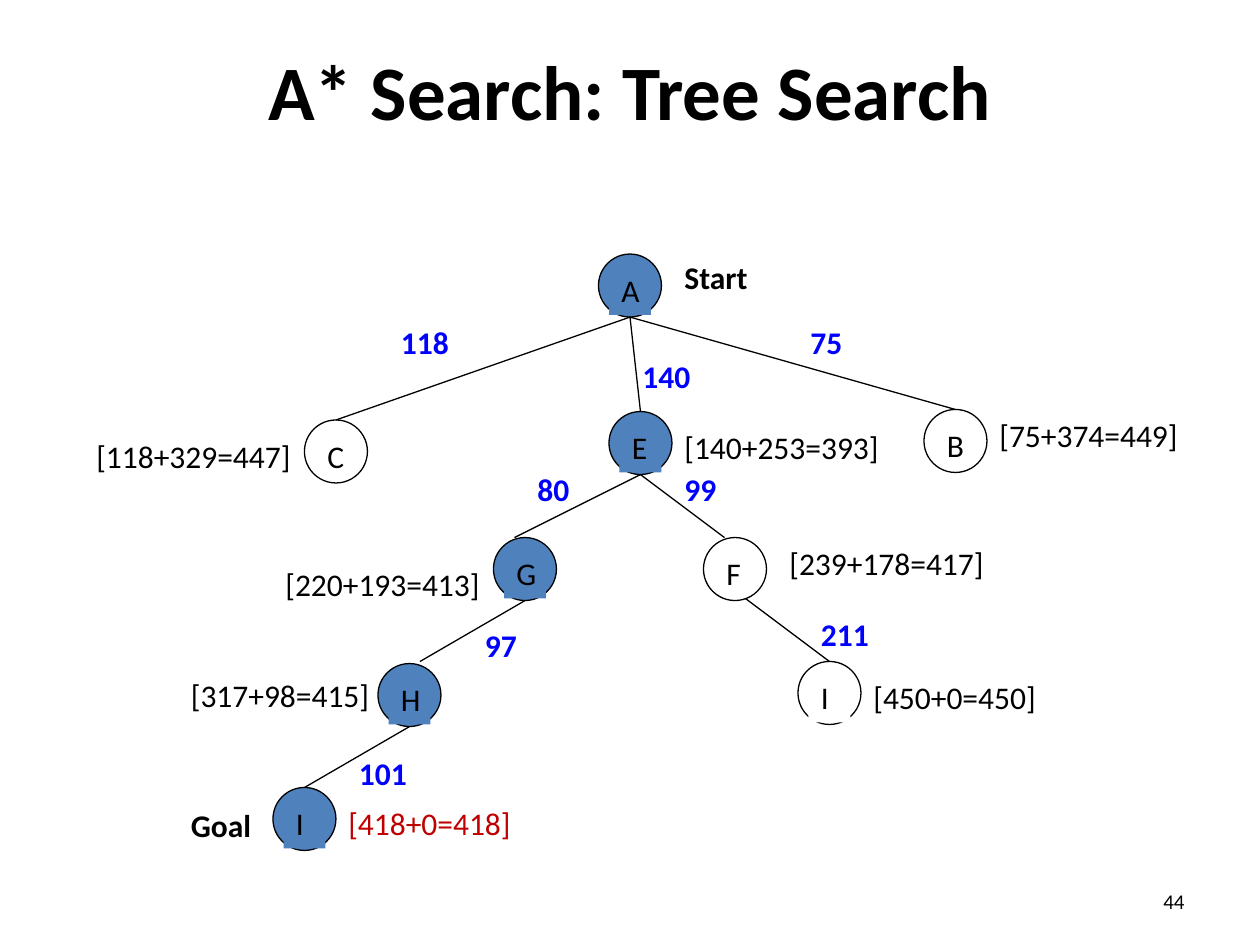
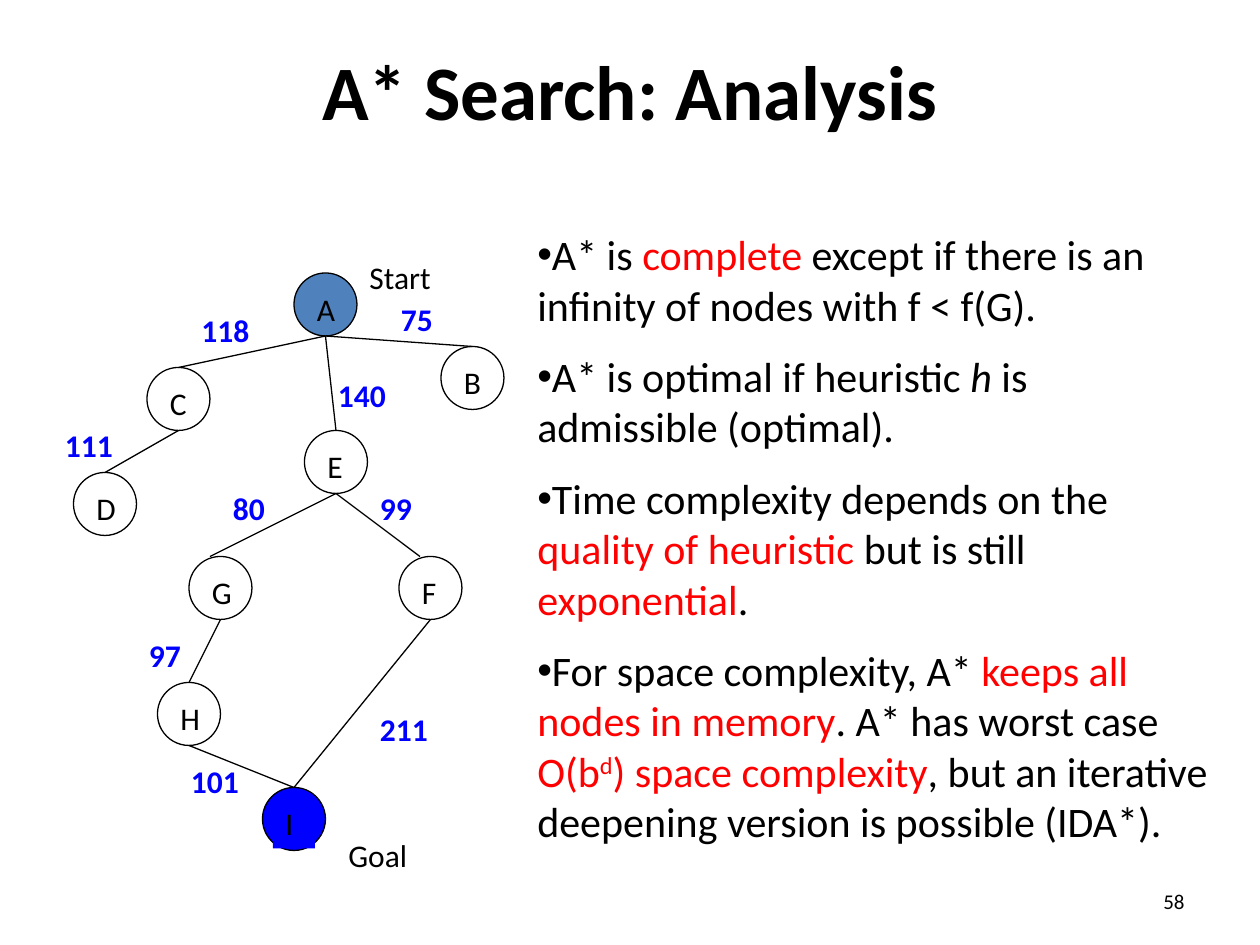
"""Builds two slides on A* search: the expanded search tree and the analysis."""
from dataclasses import dataclass
from typing import Optional

from lxml.etree import SubElement
from pptx import Presentation
from pptx.dml.color import RGBColor
from pptx.enum.shapes import MSO_CONNECTOR, MSO_SHAPE
from pptx.enum.text import MSO_ANCHOR, PP_ALIGN
from pptx.oxml.ns import qn
from pptx.util import Emu, Pt

PX = 7620
FONT = "Calibri"
BLACK = RGBColor(0x00, 0x00, 0x00)
WHITE = RGBColor(0xFF, 0xFF, 0xFF)
STEEL = RGBColor(0x4F, 0x81, 0xBD)
BLUE = RGBColor(0x00, 0x00, 0xFF)
RED = RGBColor(0xFF, 0x00, 0x00)
DARK_RED = RGBColor(0xC0, 0x00, 0x00)
NODE_SIZE = 60
LETTER_INSET = 10
LETTER_WIDTH = 40
LINE_HEIGHT = 48


@dataclass(frozen=True)
class Node:
    """A tree node; the letter shown is the first character of its key."""
    key: str
    x: int
    y: int
    fill: Optional[RGBColor] = None
    letter_filled: bool = True


@dataclass(frozen=True)
class Edge:
    """A branch with its cost, the cost's place and nudges of both ends."""
    parent: str
    child: str
    cost: str
    x: int
    y: int
    start_nudge: tuple[int, int] = (0, 0)
    end_nudge: tuple[int, int] = (0, 0)


@dataclass(frozen=True)
class Label:
    """A free caption beside a node."""
    text: str
    x: int
    y: int
    width: int = 160
    color: RGBColor = BLACK
    bold: bool = False


@dataclass(frozen=True)
class Phrase:
    """A stretch of body text in one style."""
    text: str
    color: RGBColor = BLACK
    italic: bool = False
    superscript: bool = False


TREE_NODES = [
    Node("A", 570, 242, STEEL),
    Node("B", 880, 390),
    Node("C", 290, 400),
    Node("E", 580, 392, STEEL),
    Node("F", 670, 512),
    Node("G", 470, 512, STEEL),
    Node("H", 360, 632, STEEL),
    Node("I goal", 260, 750, STEEL),
    Node("I via F", 760, 630, WHITE),
]
TREE_EDGES = [
    Edge("A", "B", "75", 760, 302),
    Edge("A", "E", "140", 600, 334),
    Edge("A", "C", "118", 370, 302),
    Edge("E", "F", "99", 640, 442, end_nudge=(-10, 0)),
    Edge("E", "G", "80", 500, 442, end_nudge=(-10, 0)),
    Edge("G", "H", "97", 450, 590, end_nudge=(10, -2)),
    Edge("H", "I goal", "101", 330, 712),
    Edge("F", "I via F", "211", 770, 580, start_nudge=(10, -2)),
]
TREE_LABELS = [
    Label("Start", 640, 240, bold=True),
    Label("Goal", 170, 762, bold=True),
    Label("[418+0=418]", 320, 760, 230, DARK_RED),
    Label("[140+253=393]", 640, 402, 220),
    Label("[75+374=449]", 940, 390, 230),
    Label("[118+329=447]", 80, 410, 230),
    Label("[317+98=415]", 170, 638, 200),
    Label("[239+178=417]", 740, 512, 220),
    Label("[220+193=413]", 260, 532, 260),
    Label("[450+0=450]", 820, 640, 184),
]

GRAPH_NODES = [
    Node("A", 280, 260, STEEL, letter_filled=False),
    Node("B", 420, 330),
    Node("C", 140, 350),
    Node("D", 70, 450),
    Node("E", 290, 410),
    Node("F", 380, 530),
    Node("G", 180, 530),
    Node("H", 150, 650),
    Node("I", 250, 750, BLUE),
]
GRAPH_EDGES = [
    Edge("A", "B", "75", 370, 280),
    Edge("A", "E", "140", 310, 352),
    Edge("A", "C", "118", 180, 290),
    Edge("C", "D", "111", 50, 400),
    Edge("E", "F", "99", 350, 460, end_nudge=(-10, 0)),
    Edge("E", "G", "80", 210, 460, end_nudge=(-10, 0)),
    Edge("G", "H", "97", 130, 600),
    Edge("H", "I", "101", 170, 720),
    Edge("F", "I", "211", 350, 670),
]
GRAPH_LABELS = [Label("Start", 340, 240), Label("Goal", 320, 790)]

ANALYSIS = [
    [Phrase("A* is "), Phrase("complete", RED),
     Phrase(" except if there is an infinity of nodes with f < f(G).")],
    [Phrase("A* is optimal if heuristic "), Phrase("h", italic=True),
     Phrase(" is admissible (optimal).")],
    [Phrase("Time complexity depends on the "), Phrase("quality of heuristic ", RED),
     Phrase("but is still "), Phrase("exponential", RED), Phrase(".")],
    [Phrase("For space complexity, A* "), Phrase("keeps all nodes in memory", RED),
     Phrase(". A* has worst case "), Phrase("O(b", RED),
     Phrase("d", RED, superscript=True), Phrase(") space complexity", RED),
     Phrase(", but an iterative deepening version is possible (IDA*).")],
]


def px(*lengths: int) -> list[Emu]:
    """Turn pixel lengths into EMU."""
    return [Emu(length * PX) for length in lengths]


def style(run, size: int, color: RGBColor, bold: bool = False) -> None:
    """Give a run the deck's font with a size, colour and weight."""
    run.font.name = FONT
    run.font.size = Pt(size)
    run.font.color.rgb = color
    run.font.bold = bold


def add_text(slide, text: str, x: int, y: int, width: int, height: int = LINE_HEIGHT,
             size: int = 18, color: RGBColor = BLACK, bold: bool = False,
             align=PP_ALIGN.LEFT, anchor=MSO_ANCHOR.TOP):
    """Add a one-paragraph text box and return it."""
    box = slide.shapes.add_textbox(*px(x, y, width, height))
    frame = box.text_frame
    frame.word_wrap = True
    frame.vertical_anchor = anchor
    frame.text = text
    frame.paragraphs[0].alignment = align
    for run in frame.paragraphs[0].runs:
        style(run, size, color, bold)
    return box


def add_node(slide, node: Node) -> None:
    """Draw a node's circle and its letter."""
    circle = slide.shapes.add_shape(MSO_SHAPE.OVAL,
                                    *px(node.x, node.y, NODE_SIZE, NODE_SIZE))
    circle.shadow.inherit = False
    circle.line.color.rgb = BLACK
    circle.line.width = Pt(0.75)
    letter = add_text(slide, node.key[0], node.x + LETTER_INSET,
                      node.y + LETTER_INSET, LETTER_WIDTH)
    if node.fill is None:
        circle.fill.background()
        return
    circle.fill.solid()
    circle.fill.fore_color.rgb = node.fill
    if node.letter_filled:
        letter.fill.solid()
        letter.fill.fore_color.rgb = node.fill


def add_edge(slide, edge: Edge, nodes: dict[str, Node]) -> None:
    """Join the parent's bottom to the child's top and write the cost."""
    parent, child = nodes[edge.parent], nodes[edge.child]
    start_dx, start_dy = edge.start_nudge
    end_dx, end_dy = edge.end_nudge
    branch = slide.shapes.add_connector(MSO_CONNECTOR.STRAIGHT, *px(
        parent.x + NODE_SIZE // 2 + start_dx, parent.y + NODE_SIZE + start_dy,
        child.x + NODE_SIZE // 2 + end_dx, child.y + end_dy))
    branch.line.color.rgb = BLACK
    branch.line.width = Pt(0.75)
    SubElement(branch._element.spPr, qn("a:effectLst"))
    width = 80 if len(edge.cost) < 3 else 100
    add_text(slide, edge.cost, edge.x, edge.y, width, color=BLUE, bold=True)


def add_tree(slide, nodes: list[Node], edges: list[Edge], labels: list[Label]) -> None:
    """Draw a whole search tree."""
    by_key = {node.key: node for node in nodes}
    for node in nodes:
        add_node(slide, node)
    for edge in edges:
        add_edge(slide, edge, by_key)
    for label in labels:
        add_text(slide, label.text, label.x, label.y, label.width,
                 color=label.color, bold=label.bold)


def add_analysis(slide, points: list[list[Phrase]]) -> None:
    """Write the bulleted analysis beside the tree."""
    frame = slide.shapes.add_textbox(*px(500, 212, 670, 618)).text_frame
    frame.word_wrap = True
    for index, phrases in enumerate(points):
        paragraph = frame.add_paragraph() if index else frame.paragraphs[0]
        if index:
            paragraph.space_before = Pt(12)
        properties = paragraph._p.get_or_add_pPr()
        SubElement(properties, qn("a:buFont")).set("typeface", "Arial")
        SubElement(properties, qn("a:buChar")).set("char", "•")
        for phrase in phrases:
            run = paragraph.add_run()
            run.text = phrase.text
            style(run, 24, phrase.color)
            run.font.italic = phrase.italic
            if phrase.superscript:
                run._r.get_or_add_rPr().set("baseline", "30000")


def add_slide(deck, title: str, number: int):
    """Add a blank slide with the shared title and page number."""
    slide = deck.slides.add_slide(deck.slide_layouts[6])
    add_text(slide, title, 10, 10, 1180, 150, size=44, bold=True,
             align=PP_ALIGN.CENTER, anchor=MSO_ANCHOR.MIDDLE)
    add_text(slide, str(number), 860, 834, 280, size=12,
             align=PP_ALIGN.RIGHT, anchor=MSO_ANCHOR.MIDDLE)
    return slide


def main() -> None:
    """Build and save the deck."""
    deck = Presentation()
    deck.slide_width, deck.slide_height = px(1200, 900)
    tree_search = add_slide(deck, "A* Search: Tree Search", 44)
    add_tree(tree_search, TREE_NODES, TREE_EDGES, TREE_LABELS)
    analysis = add_slide(deck, "A* Search: Analysis", 58)
    add_tree(analysis, GRAPH_NODES, GRAPH_EDGES, GRAPH_LABELS)
    add_analysis(analysis, ANALYSIS)
    deck.save("out.pptx")


if __name__ == "__main__":
    main()
